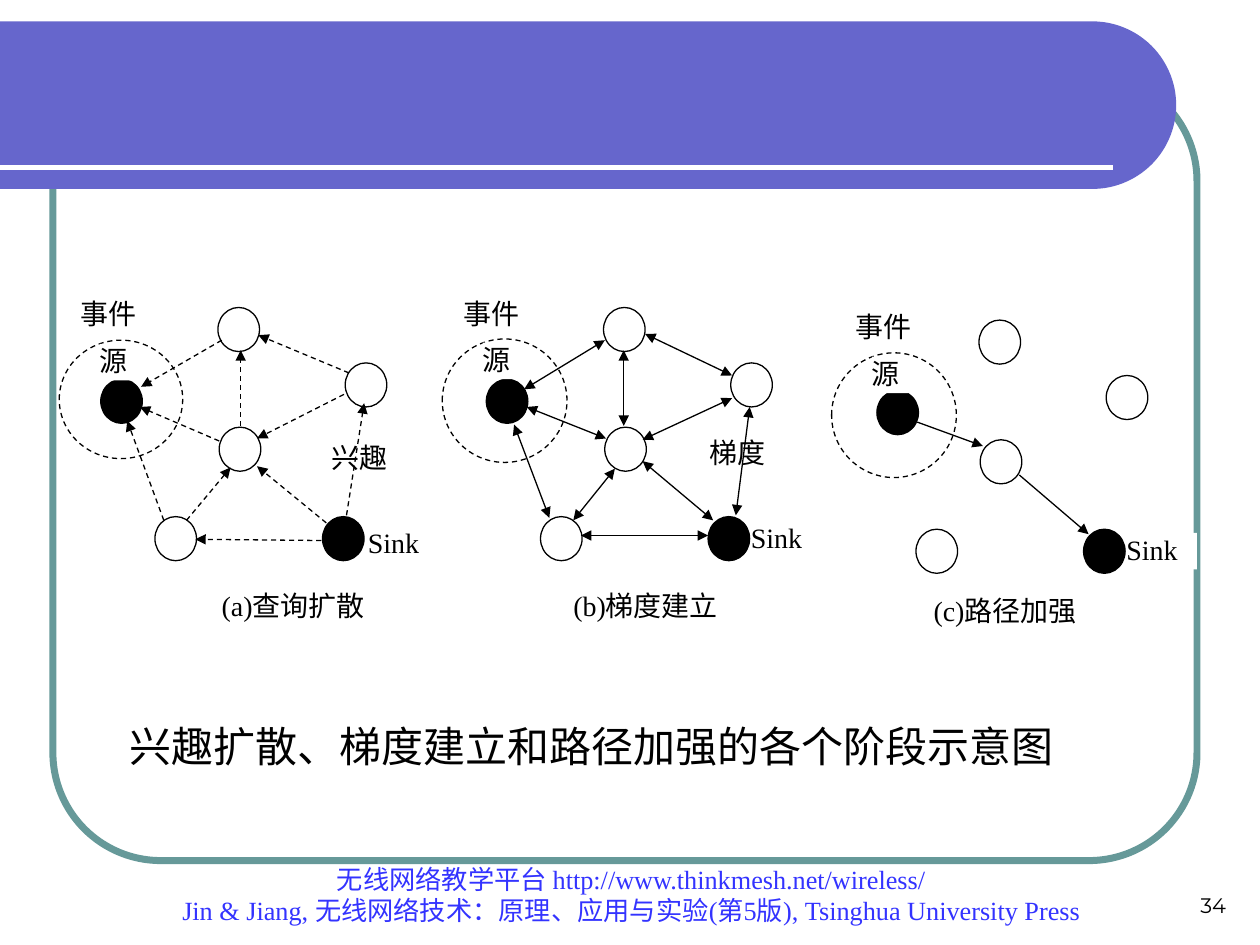
from math import cos, pi, sin

from lxml.etree import SubElement
from pptx import Presentation
from pptx.dml.color import RGBColor as Color
from pptx.enum.dml import MSO_LINE as Dash
from pptx.enum.shapes import MSO_CONNECTOR as Wire, MSO_SHAPE as Kind
from pptx.enum.text import MSO_ANCHOR as Anchor, PP_ALIGN as Align
from pptx.oxml.ns import qn
from pptx.util import Pt

PX = 9144  # one px is 1/100 inch
INK = {"black": "000000", "white": "FFFFFF", "teal": "669999",
       "band": "6666CC", "link": "3333FF"}
SERIF = "Times New Roman"

# Node spots of the first panel; the others are shifted
NODES = [(173, 244), (274, 288), (174, 339), (123, 410)]
SINK = (256, 410)

PANELS = [
    {"shift": (0, 0), "ring": (47, 270, 98, 94), "source": (80, 301),
     "dash": True, "both": False,
     "note": ("兴趣", 244, 350, 82, Align.CENTER),
     "links": [(176, 270, 112, 307), (174, 350, 111, 323),
               (130, 413, 101, 334), (191, 338, 191, 278),
               (277, 296, 205, 266), (259, 415, 204, 370),
               (148, 413, 183, 371), (255, 429, 155, 428),
               (273, 313, 204, 348), (275, 409, 289, 320)],
     "labels": [("源", 79, 273, 31), ("事件", 64, 235, 54),
                ("Sink", 292, 417, 56), ("(a)查询扩散", 176, 467, 140)]},
    {"shift": (306, 0), "ring": (351, 269, 99, 98), "source": (386, 301),
     "dash": False, "both": True,
     "note": ("梯度", 563, 346, 56, Align.LEFT),
     "links": [(416, 309, 480, 270), (408, 337, 436, 411),
               (495, 338, 495, 278), (418, 323, 481, 348),
               (455, 413, 488, 372), (461, 425, 562, 425),
               (510, 366, 566, 413), (512, 265, 581, 298),
               (595, 323, 584, 409), (510, 349, 581, 316)],
     "labels": [("源", 383, 272, 31), ("事件", 368, 235, 54),
                ("Sink", 596, 413, 56), ("(b)梯度建立", 455, 467, 140)]},
    {"shift": (604, 10), "ring": (660, 280, 99, 99), "source": (696, 310),
     "dash": False, "both": False, "note": None,
     "links": [(728, 335, 780, 354), (809, 377, 864, 424)],
     "labels": [("源", 692, 283, 31), ("事件", 679, 246, 54),
                ("Sink", 894, 423, 56), ("(c)路径加强", 741, 471, 140)]},
]


def px(*nums):
    return [round(n * PX) for n in nums]


def tint(name):
    return Color.from_string(INK[name])


def shape(slide, kind, box, fill=None, line="black", width=0.75, dash=False):
    item = slide.shapes.add_shape(kind, *px(*box))
    item.shadow.inherit = False
    if fill:
        item.fill.solid()
        item.fill.fore_color.rgb = tint(fill)
    else:
        item.fill.background()
    item.line.color.rgb = tint(line)
    item.line.width = Pt(width)
    if dash:
        item.line.dash_style = Dash.DASH
    return item


def wire(slide, ends, color="black", width=0.75, dash=False, tips=()):
    item = slide.shapes.add_connector(Wire.STRAIGHT, *px(*ends))
    item.line.color.rgb = tint(color)
    item.line.width = Pt(width)
    if dash:
        item.line.dash_style = Dash.DASH
    stroke = item.line._get_or_add_ln()
    for tip in tips:
        SubElement(stroke, qn(f"a:{tip}"), type="triangle")
    SubElement(item._element.spPr, qn("a:effectLst"))


def text(slide, box, lines, size=16, font=SERIF, color="black",
         align=Align.LEFT, anchor=Anchor.TOP, inset=(0, 0), fill=None):
    item = slide.shapes.add_textbox(*px(*box))
    if fill:
        item.fill.solid()
        item.fill.fore_color.rgb = tint(fill)
    frame = item.text_frame
    frame.word_wrap = True
    frame.vertical_anchor = anchor
    side, edge = px(*inset)
    frame.margin_left = frame.margin_right = side
    frame.margin_top = frame.margin_bottom = edge
    frame.text = "\n".join(lines)
    for para in frame.paragraphs:
        para.alignment = align
        para.font.size = Pt(size)
        para.font.name = font
        para.font.color.rgb = tint(color)


def label(slide, word, x, y, wide, align=Align.LEFT, high=29):
    text(slide, (x, y, wide, high), [word], align=align, fill="white")


def node(slide, spot, fill="white"):
    shape(slide, Kind.OVAL, (*spot, 33, 35), fill)


def frame(slide):
    border = shape(slide, Kind.ROUNDED_RECTANGLE, (42, 58, 908, 625),
                   line="teal", width=4)
    border.adjustments[0] = 0.137
    # Band with a half-round right end
    steps = 60
    arc = [(867 + 66.5 * sin(pi * i / steps), 83.5 - 66.5 * cos(pi * i / steps))
           for i in range(steps + 1)]
    pen = slide.shapes.build_freeform(0, 17 * PX, scale=1.0)
    pen.add_line_segments([px(*dot) for dot in arc] + [(0, 150 * PX)])
    band = pen.convert_to_shape()
    band.shadow.inherit = False
    band.fill.solid()
    band.fill.fore_color.rgb = tint("band")
    band.line.fill.background()
    wire(slide, (0, 133, 883, 133), "white", 3)


def panel(slide, part):
    if part["note"]:
        label(slide, *part["note"], high=35)
    # Nodes, event range, source and sink
    dx, dy = part["shift"]
    for x, y in NODES:
        node(slide, (x + dx, y + dy))
    node(slide, (SINK[0] + dx, SINK[1] + dy), "black")
    shape(slide, Kind.OVAL, part["ring"], "white", dash=True)
    node(slide, part["source"], "black")
    # Arrows between nodes
    tips = ("headEnd", "tailEnd") if part["both"] else ("tailEnd",)
    for ends in part["links"]:
        wire(slide, ends, dash=part["dash"], tips=tips)
    for spot in part["labels"]:
        label(slide, *spot)


def main():
    deck = Presentation()
    deck.slide_width, deck.slide_height = px(1000, 750)
    slide = deck.slides.add_slide(deck.slide_layouts[6])
    frame(slide)
    # Footer and page number
    text(slide, (77, 698, 848, 42),
         ["无线网络教学平台 http://www.thinkmesh.net/wireless/",
          "Jin & Jiang, 无线网络技术：原理、应用与实验(第5版), "
          "Tsinghua University Press"],
         15, color="link", align=Align.CENTER, anchor=Anchor.BOTTOM,
         inset=(10, 5))
    text(slide, (750, 683, 233, 50), ["34"], 12, "Montserrat",
         align=Align.RIGHT, anchor=Anchor.BOTTOM, inset=(10, 5))
    for part in PANELS:
        panel(slide, part)
    # Figure caption
    text(slide, (93, 567, 761, 50),
         ["兴趣扩散、梯度建立和路径加强的各个阶段示意图"], 24, "Arial",
         anchor=Anchor.MIDDLE, inset=(10, 5))
    deck.save("out.pptx")


if __name__ == "__main__":
    main()
